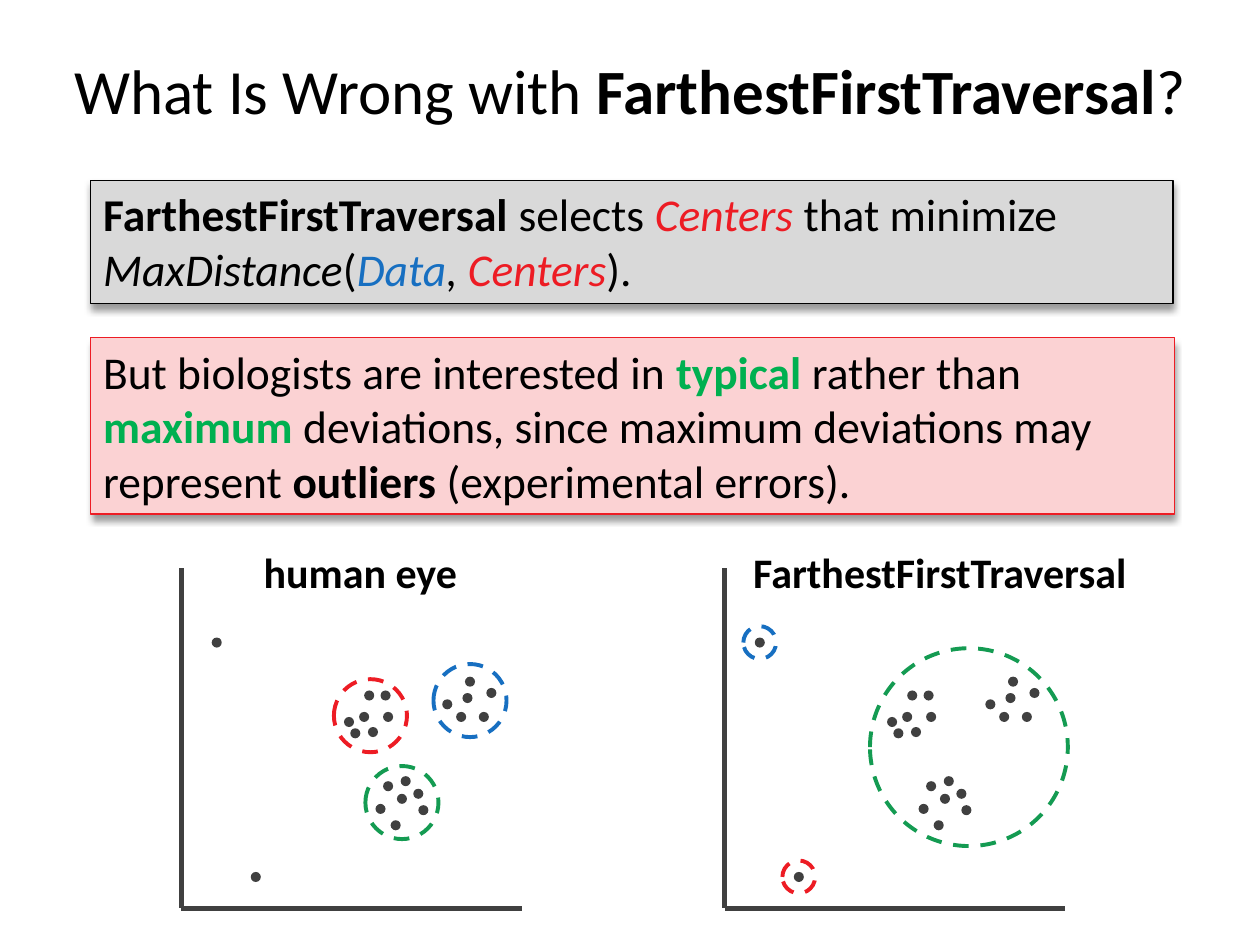
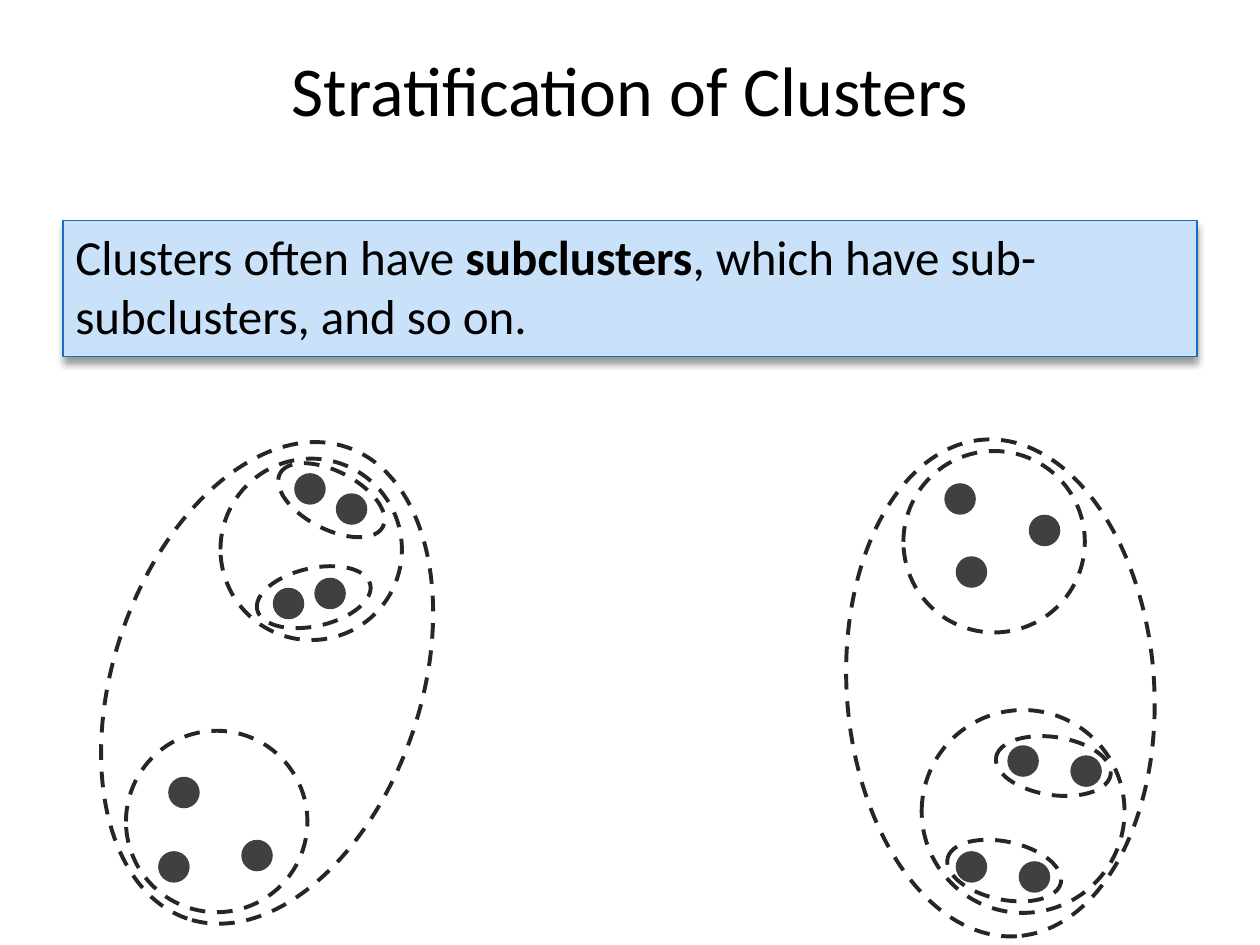
from dataclasses import dataclass
from typing import NamedTuple

from lxml import etree
from pptx import Presentation
from pptx.dml.color import RGBColor
from pptx.enum.dml import MSO_LINE
from pptx.enum.shapes import MSO_CONNECTOR, MSO_SHAPE
from pptx.enum.text import MSO_ANCHOR, MSO_AUTO_SIZE, PP_ALIGN
from pptx.oxml.ns import qn
from pptx.util import Emu, Pt

ELLIPSE, RECT = MSO_SHAPE.OVAL, MSO_SHAPE.RECTANGLE
STRAIGHT, DASH = MSO_CONNECTOR.STRAIGHT, MSO_LINE.DASH
LEFT, CENTER = PP_ALIGN.LEFT, PP_ALIGN.CENTER
TOP, MIDDLE = MSO_ANCHOR.TOP, MSO_ANCHOR.MIDDLE
FIT, FIXED = MSO_AUTO_SIZE.SHAPE_TO_FIT_TEXT, MSO_AUTO_SIZE.NONE

EMU_PER_PX = 9144  # 100 px to the inch


@dataclass(frozen=True)
class Theme:
    font: str = "Calibri"
    black: str = "000000"
    dot: str = "404040"
    outline: str = "262626"
    red: str = "ED1C24"
    blue: str = "176FC1"
    green: str = "149B52"
    bright_green: str = "00B050"
    gray_fill: str = "D9D9D9"
    pink_fill: str = "FBD2D3"
    blue_fill: str = "CAE2F9"
    long_title: int = 36
    title: int = 40
    statement: int = 26
    body: int = 28
    label: int = 24
    box_line: float = 0.75
    ring_line: float = 2.25
    axis_line: int = 3


T = Theme()


class Box(NamedTuple):
    left: int
    top: int
    width: int
    height: int


class Point(NamedTuple):
    x: int
    y: int


class Span(NamedTuple):
    text: str
    color: str = T.black
    bold: bool = False
    italic: bool = False


class Ring(NamedTuple):
    center: Point
    width: int
    height: int
    color: str = T.outline
    rotation: float = 0


class Callout(NamedTuple):
    box: Box
    fill: str
    line: str
    size: int
    spans: list[Span]
    fit: MSO_AUTO_SIZE = FIT


class Plot(NamedTuple):
    origin: Point
    label: str
    label_box: Box
    align: PP_ALIGN
    rings: list[Ring]


def px(n: float) -> Emu:
    return Emu(round(n * EMU_PER_PX))


def rgb(color: str) -> RGBColor:
    return RGBColor.from_string(color)


def apply(target, values: dict) -> None:
    for name, value in values.items():
        setattr(target, name, value)


def write(tf, spans: list[Span], size: int, align=LEFT, anchor=TOP, fit=FIT) -> None:
    apply(tf, {"word_wrap": True, "auto_size": fit, "vertical_anchor": anchor})
    p = tf.paragraphs[0]
    p.alignment = align
    for span in spans:
        r = p.add_run()
        r.text = span.text
        apply(r.font, {"name": T.font, "size": Pt(size), "bold": span.bold,
                       "italic": span.italic})
        r.font.color.rgb = rgb(span.color)


def add_text(s, box: Box, spans: list[Span], size: int, **layout) -> None:
    sp = s.shapes.add_textbox(*map(px, box))
    write(sp.text_frame, spans, size, **layout)


def add_title(s, box: Box, spans: list[Span], size: int) -> None:
    add_text(s, box, spans, size, align=CENTER, anchor=MIDDLE, fit=FIXED)


def add_drop_shadow(sp) -> None:
    effects = sp._element.spPr.find(qn("a:effectLst"))
    shadow = etree.SubElement(effects, qn("a:outerShdw"), blurRad=str(Pt(4)),
                              dist=str(Pt(3)), dir="5400000", rotWithShape="0")
    color = etree.SubElement(shadow, qn("a:srgbClr"), val=T.black)
    etree.SubElement(color, qn("a:alpha"), val="40000")


def add_callout(s, c: Callout) -> None:
    sp = s.shapes.add_shape(RECT, *map(px, c.box))
    sp.fill.solid()
    sp.fill.fore_color.rgb = rgb(c.fill)
    sp.line.color.rgb = rgb(c.line)
    sp.line.width = Pt(T.box_line)
    sp.shadow.inherit = False
    add_drop_shadow(sp)
    write(sp.text_frame, c.spans, c.size, fit=c.fit)


def add_ellipse(shapes, center: Point, width: int, height: int):
    sp = shapes.add_shape(ELLIPSE, px(center.x - width / 2), px(center.y - height / 2),
                          px(width), px(height))
    sp.shadow.inherit = False
    return sp


def add_dots(shapes, centers: list[Point], diameter: int) -> None:
    for center in centers:
        sp = add_ellipse(shapes, center, diameter, diameter)
        sp.fill.solid()
        sp.fill.fore_color.rgb = rgb(T.dot)
        sp.line.fill.background()


def add_ring(s, ring: Ring) -> None:
    sp = add_ellipse(s.shapes, ring.center, ring.width, ring.height)
    sp.rotation = ring.rotation
    sp.fill.background()
    sp.line.color.rgb = rgb(ring.color)
    apply(sp.line, {"width": Pt(T.ring_line), "dash_style": DASH})


def add_axis(s, start: Point, end: Point) -> None:
    sp = s.shapes.add_connector(STRAIGHT, *map(px, (*start, *end)))
    sp.line.color.rgb = rgb(T.dot)
    sp.line.width = Pt(T.axis_line)
    etree.SubElement(sp._element.spPr, qn("a:effectLst"))


def shift(point: Point, origin: Point) -> Point:
    return Point(point.x + origin.x, point.y + origin.y)


def points(*pairs: tuple[int, int]) -> list[Point]:
    return [Point(*pair) for pair in pairs]


# Data points, measured from the top of the vertical axis
AXIS_LENGTH, PLOT_DOT = 270, 8
CLUSTERS = [
    points((229, 90), (227, 103), (240, 118), (211, 108), (222, 118), (246, 99)),
    points((145, 118), (152, 130), (133, 122), (138, 131), (164, 118), (149, 101),
           (162, 101)),
    points((175, 183), (188, 179), (164, 173), (158, 191), (192, 192), (170, 204),
           (178, 169)),
]
OUTLIERS = points((59, 245), (28, 59))
PLOTS = [
    Plot(Point(144, 451), "human eye", Box(175, 429, 222, 50), CENTER,
         [Ring(Point(175, 186), 58, 58, T.green),
          Ring(Point(229, 105), 58, 58, T.blue),
          Ring(Point(150, 117), 58, 58, T.red)]),
    Plot(Point(575, 451), "FarthestFirstTraversal", Box(588, 429, 333, 50), LEFT,
         [Ring(Point(194, 142), 157, 157, T.green),
          Ring(OUTLIERS[1], 26, 26, T.blue),
          Ring(OUTLIERS[0], 26, 26, T.red)]),
]

SELECTION = Callout(Box(72, 143, 859, 98), T.gray_fill, T.black, T.statement, [
    Span("FarthestFirstTraversal ", bold=True),
    Span("selects "),
    Span("Centers ", T.red, italic=True),
    Span("that minimize "),
    Span("MaxDistance", italic=True),
    Span("("),
    Span("Data", T.blue, italic=True),
    Span(", ", italic=True),
    Span("Centers", T.red, italic=True),
    Span(")."),
])
OBJECTION = Callout(Box(72, 268, 860, 140), T.pink_fill, T.red, T.statement, [
    Span("But biologists are interested in "),
    Span("typical ", T.bright_green, bold=True),
    Span("rather than "),
    Span("maximum ", T.bright_green, bold=True),
    Span("deviations, since maximum deviations may represent "),
    Span("outliers ", bold=True),
    Span("(experimental errors)."),
])
SUBCLUSTERS = Callout(Box(50, 175, 900, 108), T.blue_fill, T.blue, T.body, [
    Span("Clusters often have "),
    Span("subclusters", bold=True),
    Span(", which have sub-subclusters, and so on."),
], FIXED)

STRATA_DOT = 25
STRATA_DOTS = points(
    (246, 388), (279, 404), (229, 479), (262, 471), (146, 629), (138, 688), (204, 679),
    (762, 396), (829, 421), (771, 454), (812, 604), (862, 612), (771, 688), (821, 696))
STRATA_RINGS = [
    *(Ring(Point(x, y), 395, 244, rotation=angle)
      for x, y, angle in ((212, 542, 288.7), (794, 546, 266.2))),
    *(Ring(Point(x, y), size, size)
      for x, y, size in ((247, 436, 144), (172, 652, 144), (789, 430, 144),
                         (812, 644, 161))),
    *(Ring(Point(x, y), 92, 46, rotation=angle)
      for x, y, angle in ((263, 397, 27.3), (249, 474, 347.4), (836, 608, 8.5),
                          (797, 691, 12.1))),
]


def add_plot(s, plot: Plot) -> None:
    for cluster in CLUSTERS:
        group = s.shapes.add_group_shape()
        add_dots(group.shapes, [shift(c, plot.origin) for c in cluster], PLOT_DOT)
    add_dots(s.shapes, [shift(c, plot.origin) for c in OUTLIERS], PLOT_DOT)
    corner = shift(plot.origin, Point(0, AXIS_LENGTH))
    add_axis(s, plot.origin, corner)
    add_axis(s, corner, shift(corner, Point(AXIS_LENGTH, 0)))
    for ring in plot.rings:
        add_ring(s, ring._replace(center=shift(ring.center, plot.origin)))
    add_text(s, plot.label_box, [Span(plot.label, bold=True)], T.label, align=plot.align)


def build_traversal_slide(s) -> None:
    add_title(s, Box(0, 8, 1000, 125),
              [Span("What Is Wrong with "), Span("FarthestFirstTraversal", bold=True),
               Span("?")], T.long_title)
    for callout in (SELECTION, OBJECTION):
        add_callout(s, callout)
    for plot in PLOTS:
        add_plot(s, plot)


def build_strata_slide(s) -> None:
    add_title(s, Box(50, 8, 900, 125), [Span("Stratification of Clusters")], T.title)
    add_callout(s, SUBCLUSTERS)
    add_dots(s.shapes, STRATA_DOTS, STRATA_DOT)
    for ring in STRATA_RINGS:
        add_ring(s, ring)


def main() -> None:
    prs = Presentation()
    apply(prs, {"slide_width": px(1000), "slide_height": px(750)})
    for build in (build_traversal_slide, build_strata_slide):
        build(prs.slides.add_slide(prs.slide_layouts[6]))
    prs.save("out.pptx")


if __name__ == "__main__":
    main()
